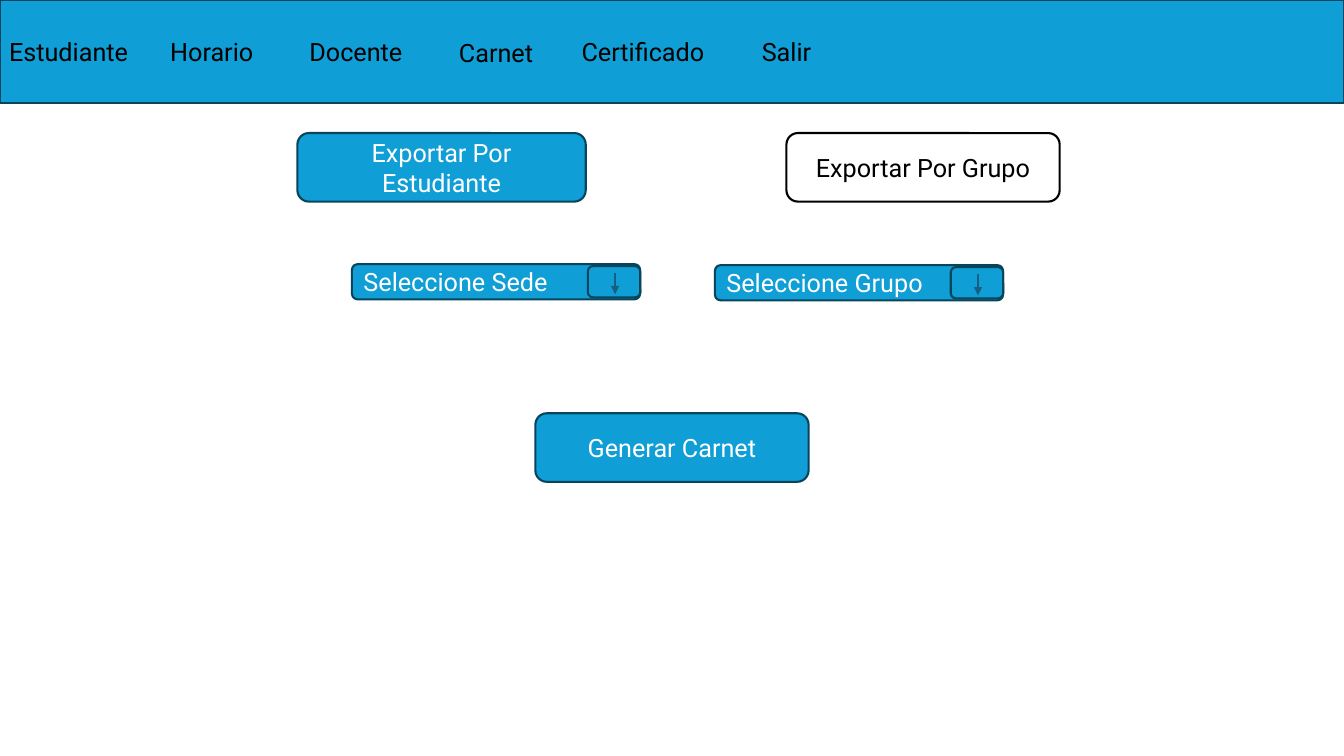
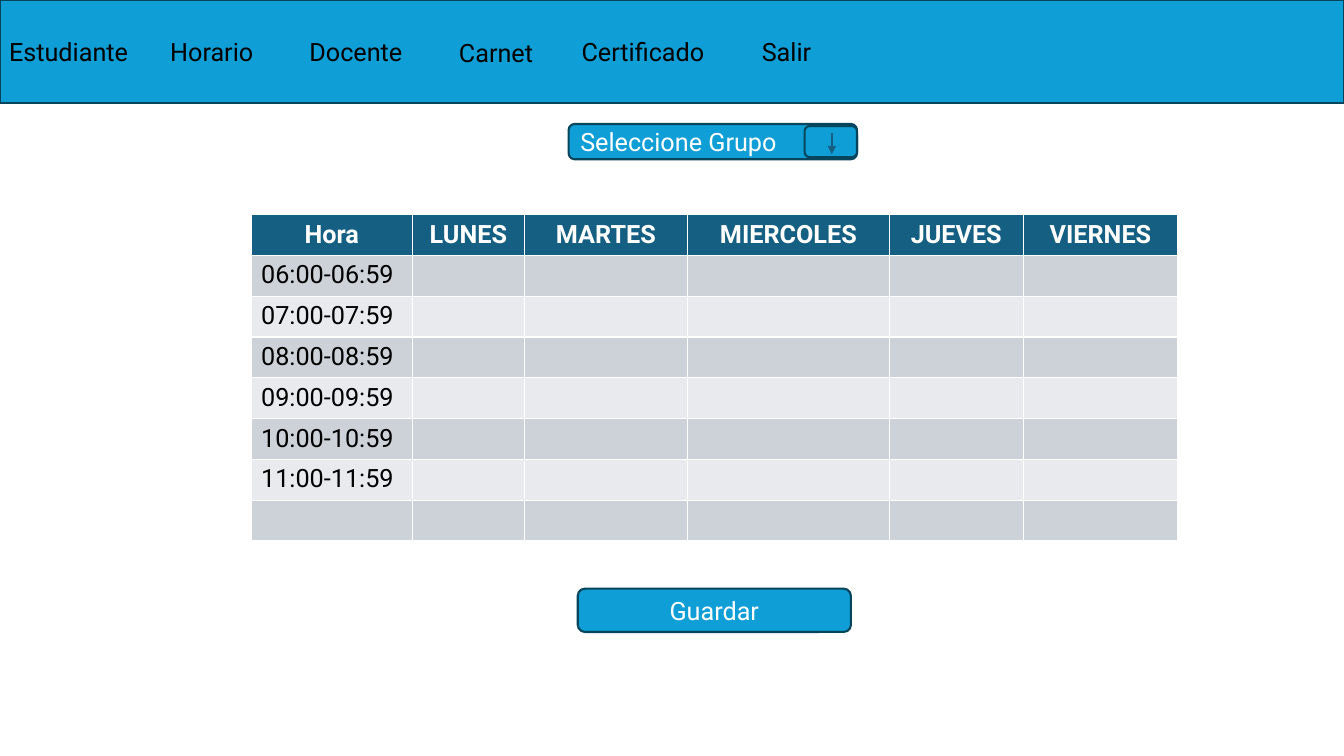
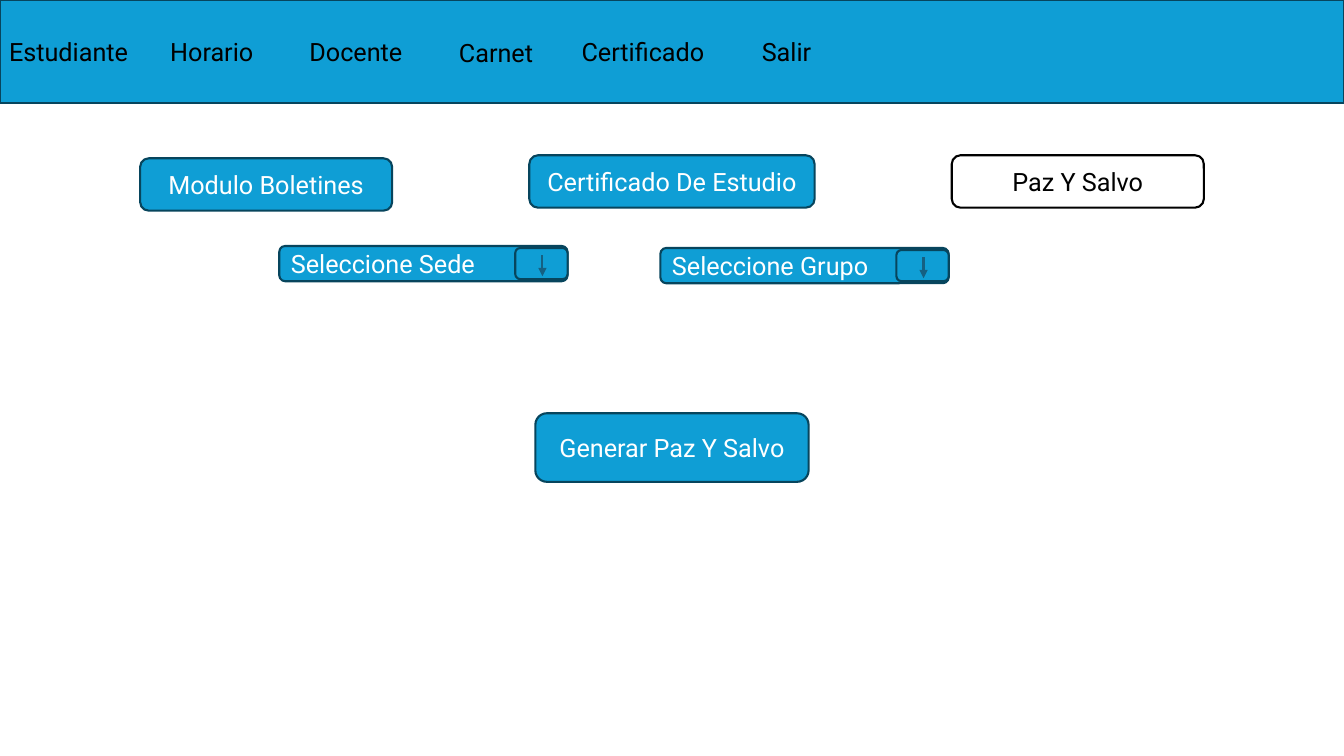
from lxml import etree
from pptx import Presentation
from pptx.dml.color import RGBColor
from pptx.enum import shapes, text
from pptx.oxml.ns import qn
from pptx.util import Inches, Pt

BLUE = RGBColor(0x0F, 0x9E, 0xD5)
NAVY = RGBColor(0x07, 0x45, 0x5D)
TEAL = RGBColor(0x15, 0x60, 0x82)
BAND_DARK = RGBColor(0xCC, 0xD2, 0xD8)
BAND_LIGHT = RGBColor(0xE8, 0xEA, 0xED)
WHITE = RGBColor(0xFF, 0xFF, 0xFF)
BLACK = RGBColor(0, 0, 0)

FONT = "Roboto"
SIZE = Pt(18)
LINE = Pt(1.5)
LEFT, CENTER = text.PP_ALIGN.LEFT, text.PP_ALIGN.CENTER
RECT, ROUND = shapes.MSO_SHAPE.RECTANGLE, shapes.MSO_SHAPE.ROUNDED_RECTANGLE

SLIDE_W, SLIDE_H = 13.33, 7.5
NAV_H = 1.02
MENU = [  # label, left, top, alignment
    ("Estudiante", -0.03, 0.31, CENTER),
    ("Horario", 1.39, 0.31, CENTER),
    ("Docente", 2.82, 0.31, CENTER),
    ("Carnet", 4.21, 0.32, CENTER),
    ("Certificado", 5.67, 0.31, LEFT),
    ("Salir", 7.09, 0.31, CENTER),
]

DAYS = ["LUNES", "MARTES", "MIERCOLES", "JUEVES", "VIERNES"]
HOURS = [f"{h:02}:00-{h:02}:59" for h in range(6, 12)]
COL_WIDTHS = [1.6, 1.11, 1.62, 2, 1.33, 1.53]


def box(x, y, w, h):
    return [Inches(v) for v in (x, y, w, h)]


def write(tf, content, color=WHITE, align=CENTER, bold=False):
    p = tf.paragraphs[0]
    p.alignment = align
    r = p.add_run()
    r.text = content
    r.font.name, r.font.size = FONT, SIZE
    r.font.color.rgb, r.font.bold = color, bold


def add_panel(parent, x, y, w, h, kind=ROUND, fill=BLUE, line=NAVY):
    sp = parent.add_shape(kind, *box(x, y, w, h))
    sp.shadow.inherit = False
    sp.fill.solid()
    sp.fill.fore_color.rgb = fill
    sp.line.color.rgb = line
    sp.line.width = LINE
    return sp


def add_button(slide, label, x, y, w, h, active=False):
    """Blue button; the active one is white with a black outline."""
    fill, line, color = (WHITE, BLACK, BLACK) if active else (BLUE, NAVY, WHITE)
    sp = add_panel(slide.shapes, x, y, w, h, fill=fill, line=line)
    sp.text_frame.vertical_anchor = text.MSO_ANCHOR.MIDDLE
    write(sp.text_frame, label, color)


def add_down_arrow(parent, x, y, length):
    cn = parent.add_connector(shapes.MSO_CONNECTOR.STRAIGHT, Inches(x), Inches(y),
                              Inches(x), Inches(y + length))
    cn.line.color.rgb = TEAL
    cn.line.width = LINE
    etree.SubElement(cn.line._get_or_add_ln(), qn("a:tailEnd"), type="triangle")
    etree.SubElement(cn._element.spPr, qn("a:effectLst"))


def add_dropdown(slide, label, x, y, w=2.86, h=0.35):
    parts = slide.shapes.add_group_shape().shapes
    field = add_panel(parts, x, y, w, h)
    field.text_frame.vertical_anchor = text.MSO_ANCHOR.MIDDLE
    write(field.text_frame, label, align=LEFT)
    add_panel(parts, x + w - 0.52, y + 0.02, 0.52, 0.31)
    add_down_arrow(parts, x + w - 0.25, y + 0.09, 0.21)


def add_nav_bar(slide):
    parts = slide.shapes.add_group_shape().shapes
    add_panel(parts, 0, 0, SLIDE_W, NAV_H, kind=RECT)
    for label, x, y, align in MENU:
        tf = parts.add_textbox(*box(x, y, 1.42, 0.4)).text_frame
        tf.word_wrap = True
        write(tf, label, BLACK, align)


def add_timetable(slide, x, y, row_h=0.405):
    rows = [["Hora"] + DAYS] + [[hour] for hour in HOURS] + [[]]
    frame = slide.shapes.add_table(len(rows), len(COL_WIDTHS),
                                   *box(x, y, sum(COL_WIDTHS), row_h * len(rows)))
    table = frame.table
    for column, width in zip(table.columns, COL_WIDTHS):
        column.width = Inches(width)
    for i, labels in enumerate(rows):
        header = i == 0
        fill = TEAL if header else BAND_DARK if i % 2 else BAND_LIGHT
        for cell in table.rows[i].cells:
            cell.fill.solid()
            cell.fill.fore_color.rgb = fill
        for j, label in enumerate(labels):
            write(table.cell(i, j).text_frame, label, WHITE if header else BLACK,
                  CENTER if header else LEFT, bold=header)


def new_page(prs):
    slide = prs.slides.add_slide(prs.slide_layouts[6])
    add_nav_bar(slide)
    return slide


def build_card_page(prs):
    slide = new_page(prs)
    add_button(slide, "Exportar Por Estudiante", 2.95, 1.32, 2.86, 0.68)
    add_button(slide, "Exportar Por Grupo", 7.8, 1.32, 2.71, 0.68, active=True)
    add_button(slide, "Generar Carnet", 5.31, 4.1, 2.71, 0.68)
    add_dropdown(slide, "Seleccione Grupo", 7.09, 2.63)
    add_dropdown(slide, "Seleccione Sede", 3.49, 2.62)


def build_timetable_page(prs):
    slide = new_page(prs)
    add_timetable(slide, 2.49, 2.13)
    add_dropdown(slide, "Seleccione Grupo", 5.64, 1.23)
    add_button(slide, "Guardar", 5.73, 5.84, 2.71, 0.43)


def build_certificate_page(prs):
    slide = new_page(prs)
    add_dropdown(slide, "Seleccione Grupo", 6.55, 2.46)
    add_dropdown(slide, "Seleccione Sede", 2.77, 2.44)
    add_button(slide, "Modulo Boletines", 1.39, 1.57, 2.5, 0.52)
    add_button(slide, "Certificado De Estudio", 5.25, 1.54, 2.83, 0.52)
    add_button(slide, "Paz Y Salvo", 9.44, 1.54, 2.5, 0.52, active=True)
    add_button(slide, "Generar Paz Y Salvo", 5.31, 4.1, 2.71, 0.68)


def main():
    prs = Presentation()
    prs.slide_width, prs.slide_height = Inches(SLIDE_W), Inches(SLIDE_H)
    build_card_page(prs)
    build_timetable_page(prs)
    build_certificate_page(prs)
    prs.save("out.pptx")


if __name__ == "__main__":
    main()
